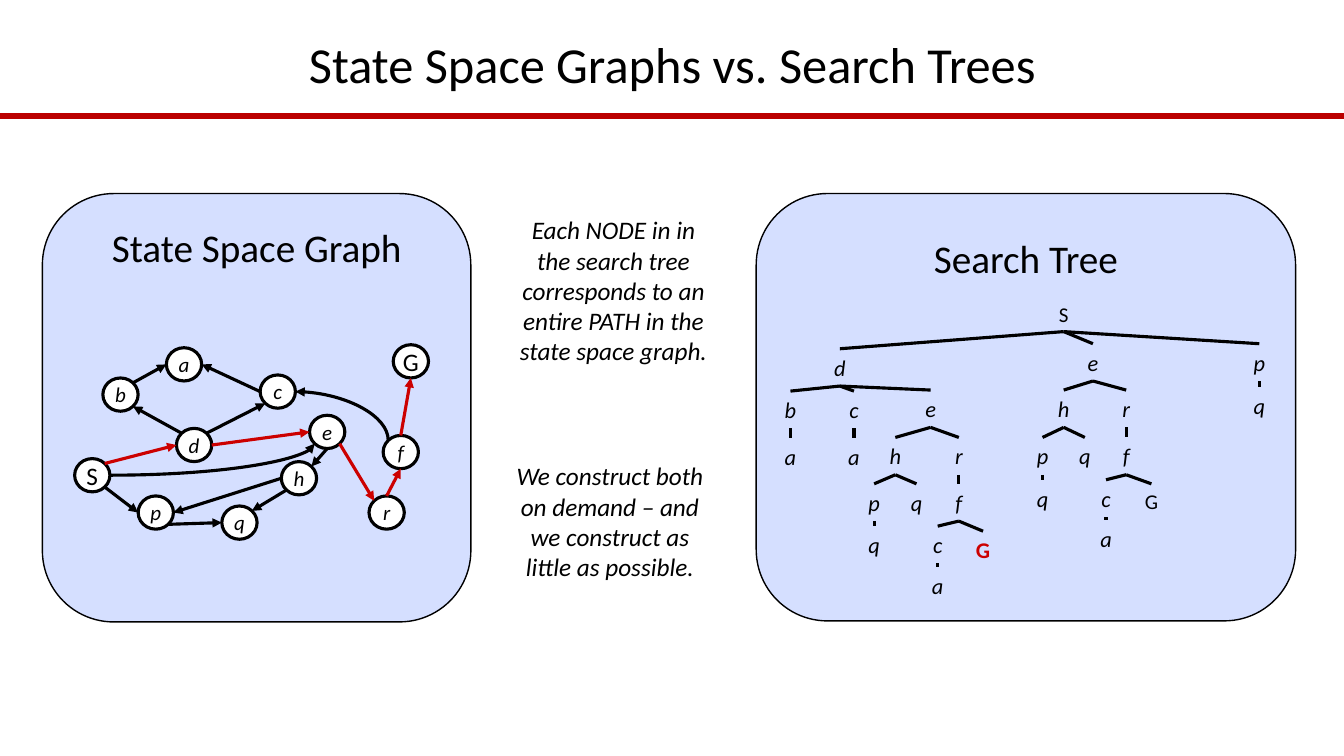
from dataclasses import dataclass
from math import cos, pi, sin

from lxml.etree import SubElement
from pptx import Presentation
from pptx.dml.color import RGBColor
from pptx.enum.shapes import MSO_CONNECTOR, MSO_SHAPE
from pptx.enum.text import MSO_ANCHOR, MSO_AUTO_SIZE, PP_ALIGN
from pptx.oxml.ns import qn
from pptx.util import Inches, Pt

HUES = {"ink": "000000", "red": "CC0000", "rule": "BB0000", "panel": "D5DFFF", "white": "FFFFFF"}
WIDE, HIGH = 0.35, 0.33
E, SE, S, SW, W, NW, N, NE = range(8)
Point = tuple[float, float]


@dataclass(frozen=True)
class Node:
    name: str
    x: float
    y: float
    kids: tuple["Node", ...] = ()
    wide: float = 0.35
    size: float = 16
    hue: str = "ink"

    @property
    def high(self) -> float:
        return 0.37 if self.size == 16 else 0.35


@dataclass(frozen=True)
class State:
    name: str
    x: float
    y: float

    def site(self, side: int) -> Point:
        turn = side * pi / 4
        return (self.x + WIDE / 2 * (1 + cos(turn)), self.y + HIGH / 2 * (1 + sin(turn)))


@dataclass(frozen=True)
class Edge:
    tail: str
    out: int
    head: str
    into: int
    hue: str = "ink"
    bent: bool = False


@dataclass(frozen=True)
class Label:
    text: str
    box: tuple[float, float, float, float]
    size: float
    slant: bool = False


TREE = Node("S", 10.55, 2.94, (
    Node("d", 8.33, 3.46, (
        Node("b", 7.84, 3.88, (Node("a", 7.84, 4.35),)),
        Node("c", 8.47, 3.88, (Node("a", 8.47, 4.35),)),
        Node("e", 9.23, 3.87, (
            Node("h", 8.88, 4.34, (
                Node("p", 8.67, 4.8, (Node("q", 8.67, 5.22),)),
                Node("q", 9.09, 4.8))),
            Node("r", 9.51, 4.34, (
                Node("f", 9.51, 4.8, (
                    Node("c", 9.3, 5.22, (Node("a", 9.3, 5.63),)),
                    Node("G", 9.75, 5.27, wide=0.69, hue="red"))),)))))),
    Node("e", 10.84, 3.41, (
        Node("h", 10.55, 3.87, (
            Node("p", 10.34, 4.34, (Node("q", 10.34, 4.76),)),
            Node("q", 10.76, 4.34))),
        Node("r", 11.17, 3.87, (
            Node("f", 11.17, 4.34, (
                Node("c", 10.97, 4.76, (Node("a", 10.97, 5.16),)),
                Node("G", 11.42, 4.8, wide=0.69, size=15))),)))),
    Node("p", 12.49, 3.41, (Node("q", 12.49, 3.84),))), wide=0.9, size=15)

STATES = [
    State("S", 0.74, 4.55), State("G", 3.9, 3.42), State("d", 1.75, 4.25),
    State("b", 1.02, 3.75), State("p", 1.37, 4.92), State("q", 2.2, 5.02),
    State("c", 2.58, 3.72), State("e", 3.07, 4.12), State("h", 2.79, 4.58),
    State("a", 1.65, 3.45), State("f", 3.8, 4.32), State("r", 3.66, 4.92),
]
EDGES = [
    Edge("S", SE, "p", W), Edge("p", SE, "q", W), Edge("h", SW, "q", NE),
    Edge("h", W, "p", E), Edge("e", S, "h", NE), Edge("e", SE, "r", NW, "red"),
    Edge("r", N, "f", S, "red"), Edge("f", N, "G", S, "red"),
    Edge("S", NE, "d", W, "red"), Edge("d", NW, "b", SE), Edge("b", NE, "a", W),
    Edge("c", W, "a", E), Edge("d", NE, "c", SW), Edge("d", E, "e", W, "red"),
    Edge("f", NW, "c", E, bent=True), Edge("S", E, "e", SW, bent=True),
]
LABELS = [
    Label("We construct both on demand – and we construct as little as possible.",
          (4.92, 4.52, 2.26, 1.31), 18, True),
    Label("Each NODE in in the search tree corresponds to an entire PATH in the state space graph.",
          (5, 2.08, 2.17, 1.62), 18, True),
    Label("Search Tree", (7.51, 2.28, 5.33, 0.57), 28),
    Label("State Space Graph", (0.67, 2.17, 3.75, 0.57), 28),
]
PANELS = [(7.5, 1.92, 5.35, 4.24), (0.42, 1.92, 4.25, 4.25)]


def tint(hue: str) -> RGBColor:
    return RGBColor.from_string(HUES[hue])


def style(frame, text: str, size: float, slant=False, hue="ink", bold=False) -> None:
    frame.text = text
    para = frame.paragraphs[0]
    para.alignment = PP_ALIGN.CENTER
    font = para.runs[0].font
    font.name, font.size, font.italic, font.bold = "Calibri", Pt(size), slant, bold
    font.color.rgb = tint(hue)


def write(slide, box, text: str, size: float, slant=False, hue="ink", bold=False) -> None:
    frame = slide.shapes.add_textbox(*map(Inches, box)).text_frame
    frame.word_wrap = True
    frame.auto_size = MSO_AUTO_SIZE.SHAPE_TO_FIT_TEXT
    style(frame, text, size, slant, hue, bold)


def block(slide, kind, box, fill: str, width: float):
    shape = slide.shapes.add_shape(kind, *map(Inches, box))
    shape.shadow.inherit = False
    shape.fill.solid()
    shape.fill.fore_color.rgb = tint(fill)
    shape.line.color.rgb = tint("ink")
    shape.line.width = Pt(width)
    return shape


def link(slide, start: Point, end: Point, hue="ink", width=2.25, arrow=False,
         kind=MSO_CONNECTOR.STRAIGHT):
    line = slide.shapes.add_connector(kind, *map(Inches, (*start, *end)))
    line.line.color.rgb = tint(hue)
    line.line.width = Pt(width)
    props = line.element.spPr
    if arrow:
        SubElement(props.find(qn("a:ln")), qn("a:tailEnd"), type="triangle")
    SubElement(props, qn("a:effectLst"))
    return props


def bend(slide, start: Point, end: Point, hue: str, rise: bool) -> None:
    if rise:
        mid = [(a + b) / 2 for a, b in zip(start, end)]
        start, end = [(mid[0] + y - mid[1], mid[1] - x + mid[0]) for x, y in (start, end)]
    props = link(slide, start, end, hue, arrow=True, kind=MSO_CONNECTOR.CURVE)
    props.find(qn("a:prstGeom")).set("prst", "curvedConnector2")
    if rise:
        props.find(qn("a:xfrm")).set("rot", "5400000")


def grow(slide, node: Node) -> None:
    box = (node.x - node.wide / 2, node.y, node.wide, node.high)
    write(slide, box, node.name, node.size, node.name.islower(), node.hue, node.hue == "red")
    for kid in node.kids:
        link(slide, (node.x, node.y + node.high), (kid.x, kid.y))
        grow(slide, kid)


def graph(slide) -> None:
    for state in STATES:
        ring = block(slide, MSO_SHAPE.FLOWCHART_CONNECTOR,
                     (state.x, state.y, WIDE, HIGH), "white", 2.25)
        frame = ring.text_frame
        frame.word_wrap = False
        frame.vertical_anchor = MSO_ANCHOR.MIDDLE
        small = state.name.islower()
        style(frame, state.name, 15 if small else 18, small)
    states = {state.name: state for state in STATES}
    for edge in EDGES:
        start, end = states[edge.tail].site(edge.out), states[edge.head].site(edge.into)
        if edge.bent:
            bend(slide, start, end, edge.hue, edge.out == NW)
        else:
            link(slide, start, end, edge.hue, arrow=True)


def main() -> None:
    deck = Presentation()
    deck.slide_width, deck.slide_height = Inches(13.33), Inches(7.5)
    slide = deck.slides.add_slide(deck.slide_layouts[5])
    title = slide.shapes.title
    title.left, title.top, title.width, title.height = map(Inches, (0.92, 0.34, 11.5, 0.66))
    style(title.text_frame, "State Space Graphs vs. Search Trees", 36)
    title.text_frame.vertical_anchor = MSO_ANCHOR.MIDDLE
    title.text_frame.paragraphs[0].line_spacing = 0.9
    link(slide, (0, 1.15), (13.33, 1.15), "rule", 4)
    for box in PANELS:
        block(slide, MSO_SHAPE.ROUNDED_RECTANGLE, box, "panel", 1)
    grow(slide, TREE)
    graph(slide)
    for label in LABELS:
        write(slide, label.box, label.text, label.size, label.slant)
    deck.save("out.pptx")


if __name__ == "__main__":
    main()
